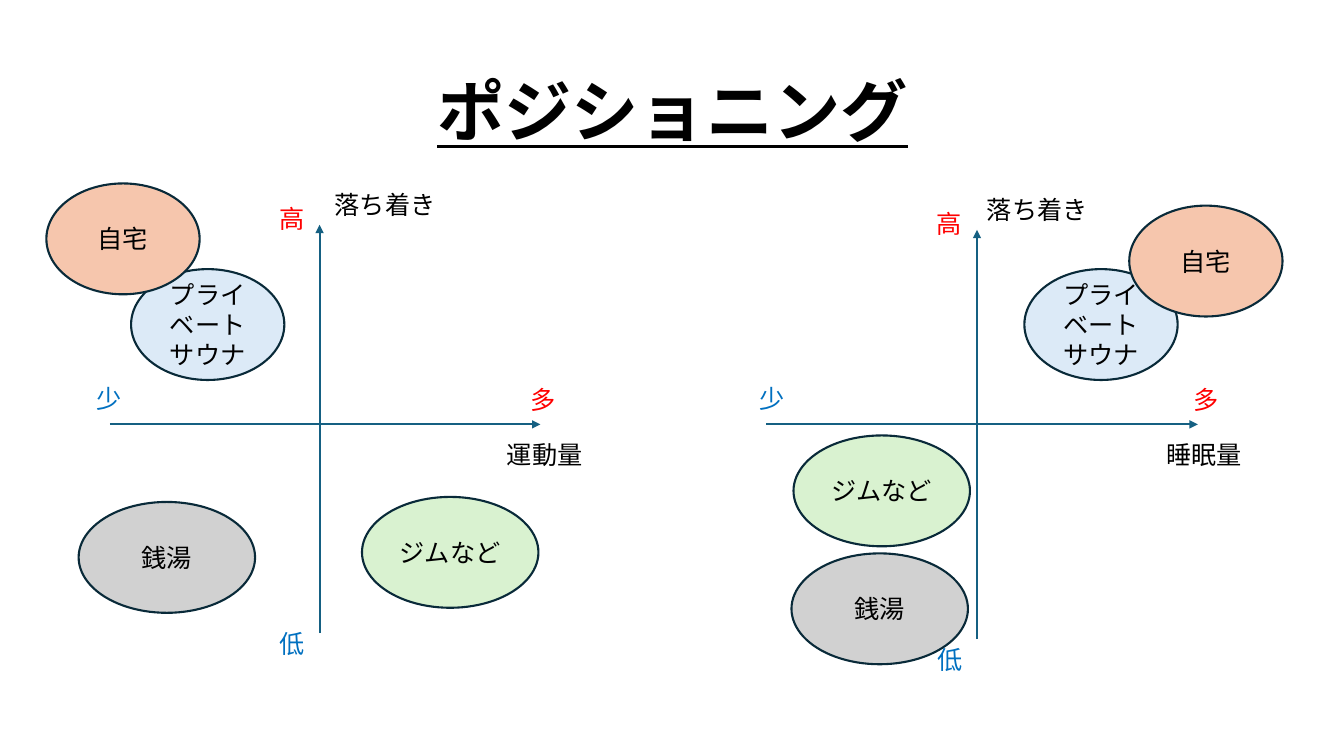
"""Build a slide with two positioning maps of places to unwind."""
from lxml.etree import SubElement
from pptx import Presentation
from pptx.dml.color import RGBColor
from pptx.enum.shapes import MSO_CONNECTOR, MSO_SHAPE
from pptx.enum.text import MSO_ANCHOR, MSO_AUTO_SIZE, PP_ALIGN
from pptx.oxml.ns import qn
from pptx.util import Emu, Pt

PX = 9144
FONT = "Noto Sans CJK JP"
COLORS = {
    "text": "000000",
    "high": "FF0000",
    "low": "0070C0",
    "axis": "156082",
    "outline": "092A39",
    "sauna": "DCEAF7",
    "home": "F6C6AD",
    "gym": "D9F2D0",
    "bath": "D1D1D1",
}
PLACES = {
    "sauna": ("プライベートサウナ", 152),
    "home": ("自宅", 152),
    "gym": ("ジムなど", 175),
    "bath": ("銭湯", 175),
}
OVAL_HEIGHT = 110
LABEL_HEIGHT = 40
MARK_WIDTH = 44

MAPS = [
    {
        "axes": [(317, 628, 317, 223), (109, 421, 536, 421)],
        "titles": [("落ち着き", 322, 183, 125), ("運動量", 493, 431, 100)],
        "marks": [("高", "high", 267, 197), ("低", "low", 267, 618),
                  ("多", "high", 516, 376), ("少", "low", 86, 375)],
        "places": {"sauna": (130, 267), "home": (46, 182),
                   "gym": (359, 493), "bath": (78, 498)},
    },
    {
        "axes": [(969, 634, 969, 228), (760, 421, 1188, 421)],
        "titles": [("落ち着き", 969, 188, 125), ("睡眠量", 1147, 431, 108)],
        "marks": [("高", "high", 919, 202), ("低", "low", 920, 634),
                  ("多", "high", 1174, 376), ("少", "low", 743, 375)],
        "places": {"sauna": (1016, 267), "home": (1120, 204),
                   "gym": (787, 432), "bath": (785, 549)},
    },
]


def px(*lengths):
    return [Emu(length * PX) for length in lengths]


def rgb(name):
    return RGBColor.from_string(COLORS[name])


def write(frame, text, size=18, color="text", bold=False, underline=False,
          align=PP_ALIGN.LEFT):
    frame.word_wrap = True
    para = frame.paragraphs[0]
    para.alignment = align
    span = para.add_run()
    span.text = text
    font = span.font
    font.size = Pt(size)
    font.bold = bold
    font.underline = underline
    font.color.rgb = rgb(color)
    font.name = FONT
    SubElement(font._element, qn("a:ea"), typeface=FONT)


class Canvas:
    def __init__(self, page, line_width=1.5):
        self.page = page
        self.line_width = Pt(line_width)

    def label(self, text, left, top, width, height=LABEL_HEIGHT, **style):
        box = self.page.shapes.add_textbox(*px(left, top, width, height))
        write(box.text_frame, text, **style)
        box.text_frame.auto_size = MSO_AUTO_SIZE.SHAPE_TO_FIT_TEXT

    def arrow(self, *ends):
        axis = self.page.shapes.add_connector(MSO_CONNECTOR.STRAIGHT, *px(*ends))
        axis.line.color.rgb = rgb("axis")
        axis.line.width = self.line_width
        SubElement(axis.line._get_or_add_ln(), qn("a:tailEnd"), type="triangle")
        SubElement(axis._element.spPr, qn("a:effectLst"))

    def oval(self, text, left, top, width, fill):
        shape = self.page.shapes.add_shape(
            MSO_SHAPE.OVAL, *px(left, top, width, OVAL_HEIGHT))
        shape.shadow.inherit = False
        shape.fill.solid()
        shape.fill.fore_color.rgb = rgb(fill)
        shape.line.color.rgb = rgb("outline")
        shape.line.width = self.line_width
        shape.text_frame.vertical_anchor = MSO_ANCHOR.MIDDLE
        write(shape.text_frame, text, align=PP_ALIGN.CENTER)

    def positioning_map(self, axes, titles, marks, places):
        for ends in axes:
            self.arrow(*ends)
        for title in titles:
            self.label(*title)
        for text, color, left, top in marks:
            self.label(text, left, top, MARK_WIDTH, color=color)
        for place, (left, top) in places.items():
            text, width = PLACES[place]
            self.oval(text, left, top, width, place)


def main():
    deck = Presentation()
    deck.slide_width, deck.slide_height = px(1333, 750)
    canvas = Canvas(deck.slides.add_slide(deck.slide_layouts[6]))
    canvas.label("ポジショニング", 344, 64, 646, 91, size=48, bold=True,
                 underline=True, align=PP_ALIGN.CENTER)
    for content in MAPS:
        canvas.positioning_map(**content)
    deck.save("out.pptx")


if __name__ == "__main__":
    main()
